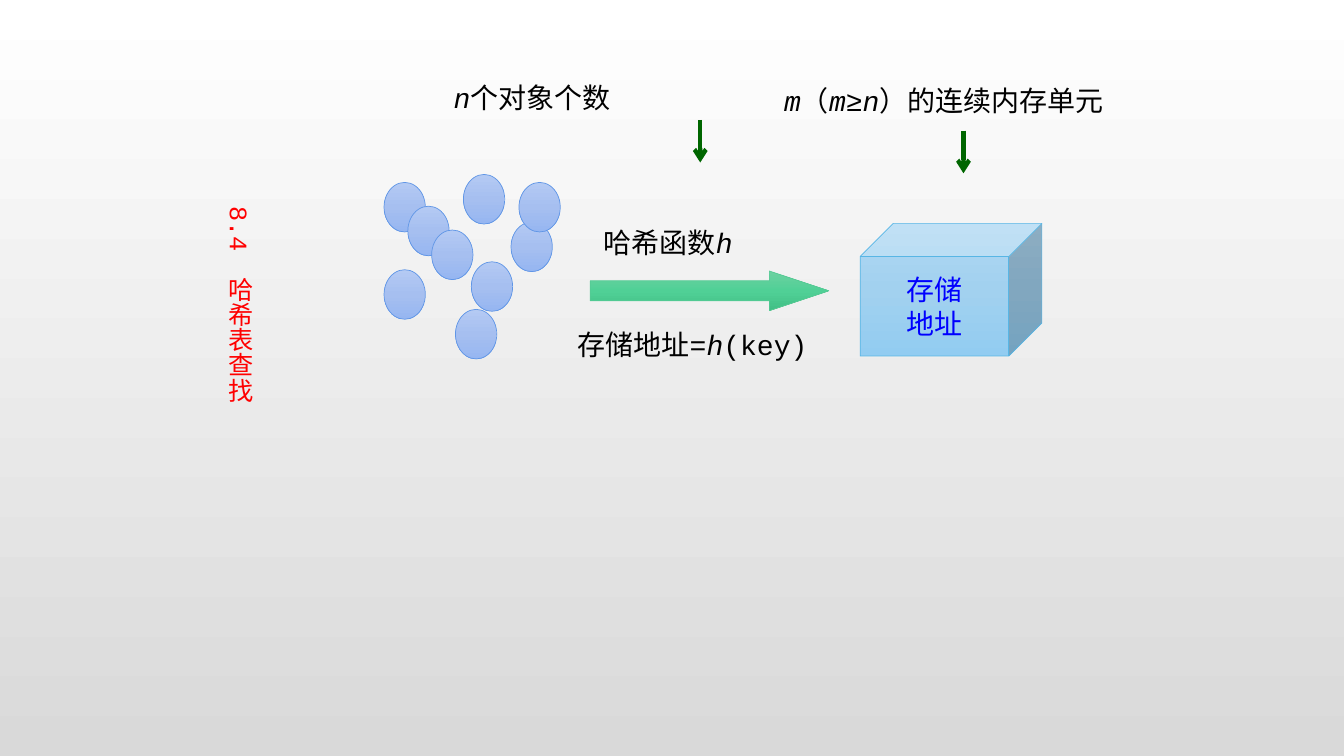
"""Build a slide that shows a hash function mapping objects to storage addresses."""
from lxml import etree
from pptx import Presentation
from pptx.dml.color import RGBColor
from pptx.enum.shapes import MSO_CONNECTOR, MSO_SHAPE
from pptx.enum.text import MSO_ANCHOR, MSO_AUTO_SIZE, PP_ALIGN
from pptx.oxml.ns import qn
from pptx.util import Pt

OVAL, ARROW, CUBE = MSO_SHAPE.OVAL, MSO_SHAPE.RIGHT_ARROW, MSO_SHAPE.CUBE
STRAIGHT = MSO_CONNECTOR.STRAIGHT
MIDDLE = MSO_ANCHOR.MIDDLE
GROW = MSO_AUTO_SIZE.SHAPE_TO_FIT_TEXT
LEFT, CENTER = PP_ALIGN.LEFT, PP_ALIGN.CENTER

THEME = {
    "background": ("FFFFFF", "D9D9D9"),
    "object": (("B4CAF3", "A6BFF0", "96B6F1"), "6096E6"),
    "mapping": (("6DD1A1", "50D096", "41BF85"), "56CA95"),
    "memory": (("B1D9F3", "A2D1EF", "92CCF1"), "58B6E5"),
    "text": "000000", "title": "FF0000", "address": "0000FF", "pointer": "006600",
    "code_font": "Courier New", "address_font": "Arial",
    "label_size": 20, "title_size": 18, "outline": 0.5, "pointer_width": 3,
}

TITLE = ("8.4　哈希表查找", (149.8, 140.4, 36, 219.6))
ADDRESS_LINES = ("存储", "地址")
LABELS = [
    ((("哈希函数", False), ("h", True)), (424.1, 157.7, 158.4, 31.7), LEFT),
    ((("存储地址=", False), ("h", True), ("(key)", False)), (405.4, 230.4, 204.5, 31.7), LEFT),
    ((("n", True), ("个对象个数", False)), (295.9, 54, 168.5, 31.7), CENTER),
    ((("m", True), ("（", False), ("m", True), ("≥", False), ("n", True),
      ("）的连续内存单元", False)), (553, 56.2, 270, 31.7), LEFT),
]
OBJECT_CELLS = [(0, 1), (3, 4), (6, 7), (10, 0), (0, 12), (11, 11), (16, 6), (9, 17), (17, 1)]
OBJECT_ORIGIN, OBJECT_STEP, OBJECT_SIZE = (274.3, 124.6), 5.67, (29.5, 35.4)
MAPPING_BOX = (421.6, 193.6, 170.4, 28.3)
MEMORY_BOX = (614.4, 159.6, 129.8, 94.8)
POINTER_STARTS, POINTER_LENGTH = [(500.2, 85.7), (688.2, 93.4)], 30.4


def points(values):
    return [Pt(value) for value in values]


def shade(fill, owner, colors):
    """Fill with evenly spaced colours from top to bottom."""
    fill.gradient()
    fill.gradient_angle = 270
    stops = owner.xpath(".//a:gsLst")[0]
    for stop in list(stops):
        stops.remove(stop)
    for index, color in enumerate(colors):
        position = 100000 * index // (len(colors) - 1)
        stop = etree.SubElement(stops, qn("a:gs"), pos=str(position))
        etree.SubElement(stop, qn("a:srgbClr"), val=color)


def add_solid(slide, kind, box, style):
    """Add a shaded, thinly outlined shape."""
    colors, outline = THEME[style]
    solid = slide.shapes.add_shape(kind, *points(box))
    solid.shadow.inherit = False
    shade(solid.fill, solid.element, colors)
    solid.line.color.rgb = RGBColor.from_string(outline)
    solid.line.width = Pt(THEME["outline"])
    return solid


def set_font(font, name, size, color):
    font.name = THEME[name]
    font.size = Pt(THEME[size])
    font.color.rgb = RGBColor.from_string(THEME[color])


def add_label(slide, pieces, box, align, size="label_size", color="text"):
    """Add a one-paragraph label with upright and italic pieces."""
    label = slide.shapes.add_textbox(*points(box))
    frame = label.text_frame
    frame.word_wrap = True
    frame.auto_size = GROW
    paragraph = frame.paragraphs[0]
    paragraph.alignment = align
    for words, italic in pieces:
        run = paragraph.add_run()
        run.text = words
        set_font(run.font, "code_font", size, color)
        run.font.italic = italic
    return frame


def add_memory(slide):
    """Add the cube of storage addresses."""
    cube = add_solid(slide, CUBE, MEMORY_BOX, "memory")
    cube.adjustments[0] = 0.25
    frame = cube.text_frame
    frame.text = "\n".join(ADDRESS_LINES)
    frame.word_wrap = True
    frame.auto_size = GROW
    frame.vertical_anchor = MIDDLE
    frame.margin_top = frame.margin_bottom = Pt(11.5)
    for paragraph in frame.paragraphs:
        paragraph.alignment = CENTER
        set_font(paragraph.runs[0].font, "address_font", "label_size", "address")


def add_pointer(slide, x, y):
    """Add a downward arrow."""
    pointer = slide.shapes.add_connector(STRAIGHT, *points((x, y, x, y + POINTER_LENGTH)))
    pointer.line.color.rgb = RGBColor.from_string(THEME["pointer"])
    pointer.line.width = Pt(THEME["pointer_width"])
    properties = pointer.element.spPr
    etree.SubElement(properties.find(qn("a:ln")), qn("a:tailEnd"), type="arrow")
    etree.SubElement(properties, qn("a:effectLst"))


def main():
    deck = Presentation()
    deck.slide_width, deck.slide_height = points((960, 540))
    slide = deck.slides.add_slide(deck.slide_layouts[6])
    shade(slide.background.fill, slide.element, THEME["background"])

    for column, row in OBJECT_CELLS:
        left = OBJECT_ORIGIN[0] + column * OBJECT_STEP
        top = OBJECT_ORIGIN[1] + row * OBJECT_STEP
        add_solid(slide, OVAL, (left, top, *OBJECT_SIZE), "object")

    mapping = add_solid(slide, ARROW, MAPPING_BOX, "mapping")
    mapping.adjustments[0] = 0.5
    mapping.adjustments[1] = 1.5

    add_memory(slide)
    for pieces, box, align in LABELS:
        add_label(slide, pieces, box, align)
    for x, y in POINTER_STARTS:
        add_pointer(slide, x, y)

    words, box = TITLE
    title = add_label(slide, [(words, False)], box, CENTER, "title_size", "title")
    title._txBody.bodyPr.set("vert", "eaVert")

    deck.save("out.pptx")


if __name__ == "__main__":
    main()
